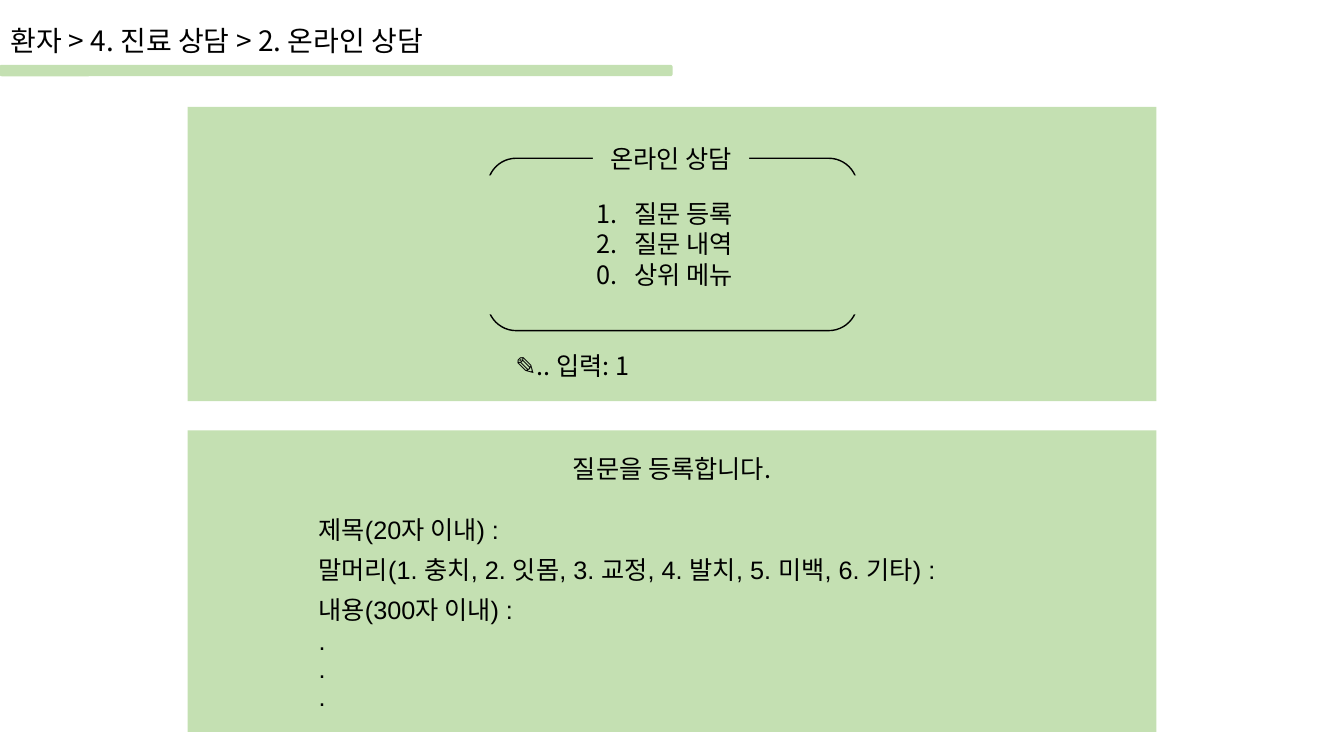
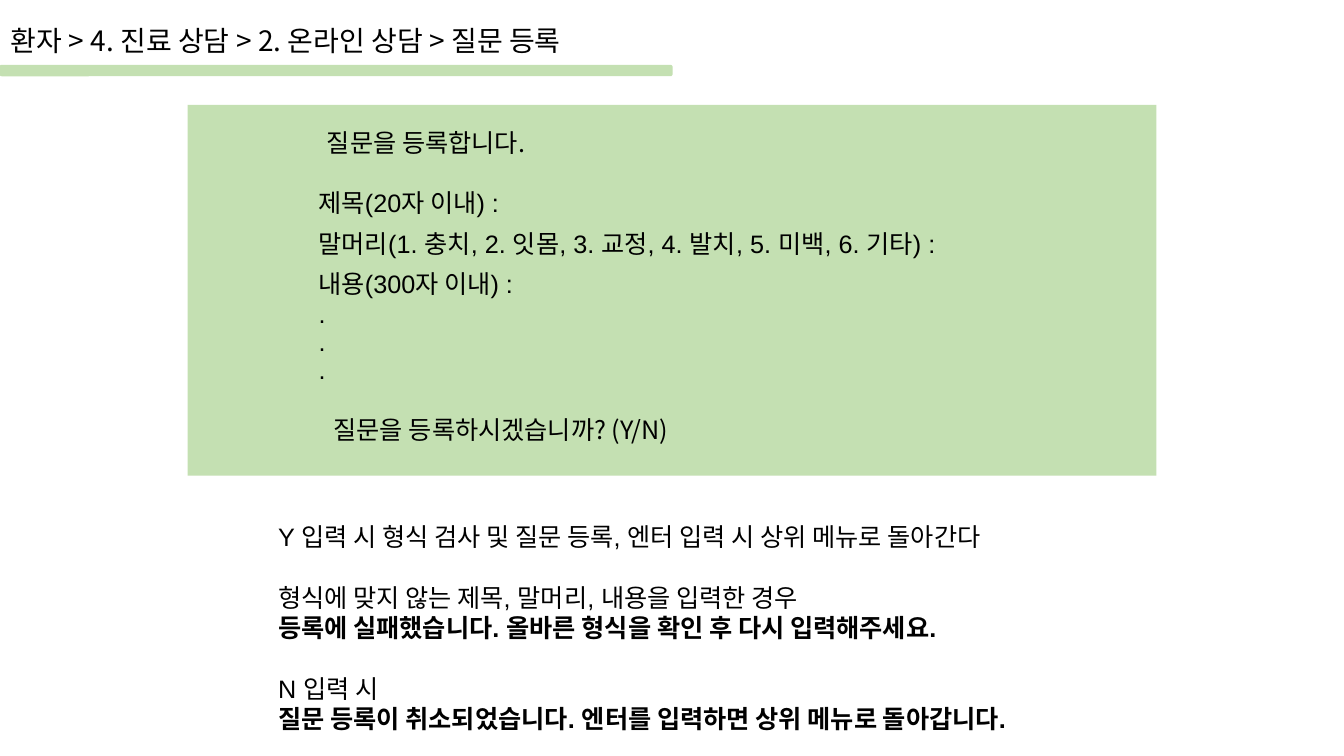
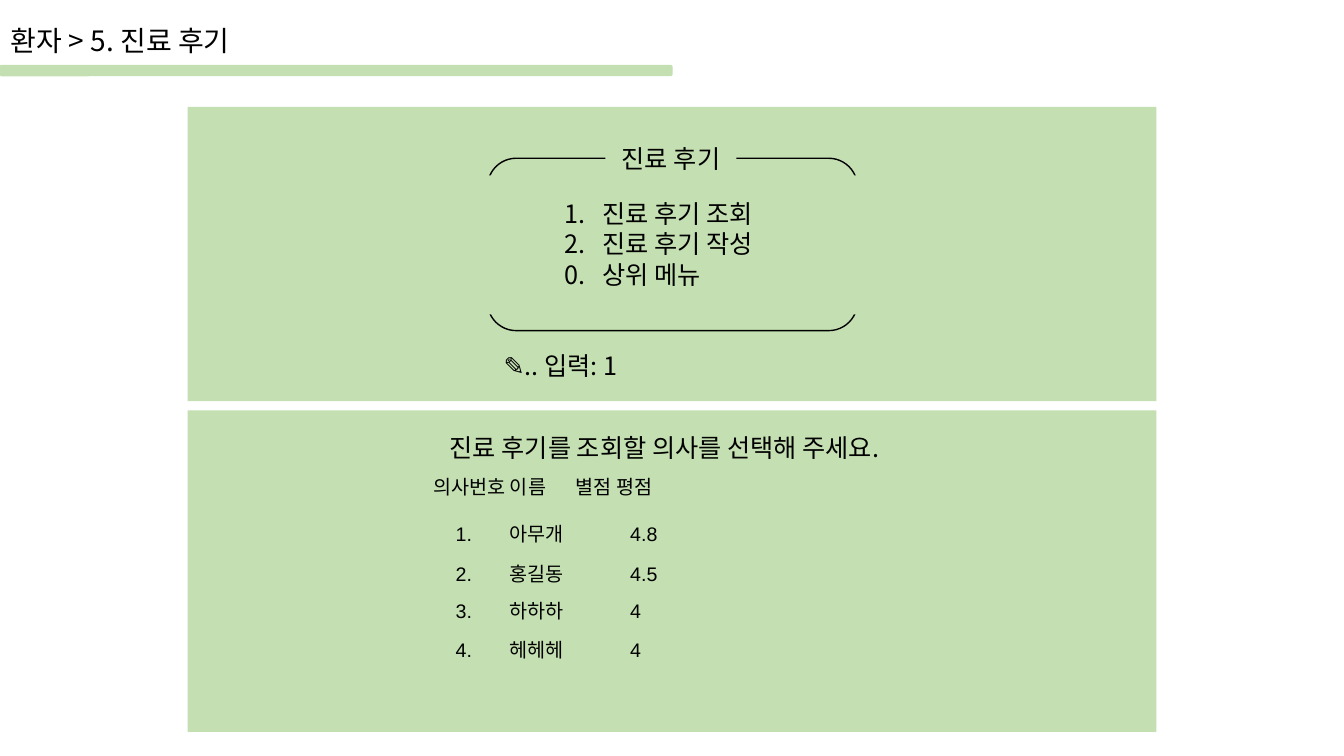
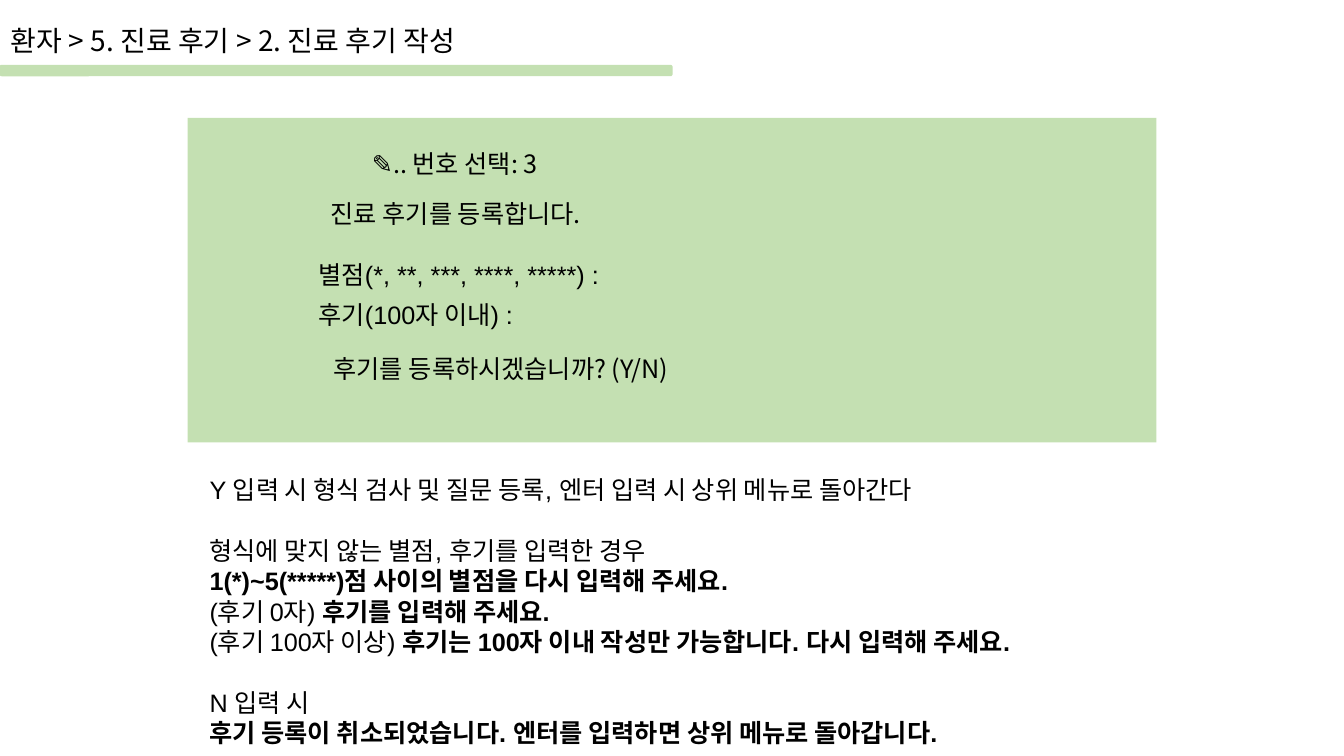
from lxml import etree
from pptx import Presentation
from pptx.dml.color import RGBColor
from pptx.enum.shapes import MSO_SHAPE
from pptx.enum.text import MSO_ANCHOR, PP_ALIGN
from pptx.oxml.ns import qn
from pptx.util import Inches, Pt

RECT, ROUNDED = MSO_SHAPE.RECTANGLE, MSO_SHAPE.ROUNDED_RECTANGLE
LEFT, CENTER = PP_ALIGN.LEFT, PP_ALIGN.CENTER
TOP, MIDDLE = MSO_ANCHOR.TOP, MSO_ANCHOR.MIDDLE

COLORS = {"panel": "C4E0B2", "ink": "000000"}
KOREAN, LATIN = "Noto Sans CJK KR", "Arial"
NO_TABLE_STYLE = "{2D5ABB26-0587-4C30-8999-92F81FD0307C}"

SLIDE_W, SLIDE_H = 13.33, 7.5
PANEL_X, PANEL_W = 1.86, 9.61
LABEL_H = 0.4
ROW_H = 0.4
HANG = 0.38

QUESTION_ROWS = [
    ["제목(20자 이내) :"],
    ["말머리(1. 충치, 2. 잇몸, 3. 교정, 4. 발치, 5. 미백, 6. 기타) :"],
    ["내용(300자 이내) :", ".", ".", "."],
]
QUESTION_HEIGHTS = [ROW_H, ROW_H, 1.31]
REVIEW_ROWS = [["별점(*, **, ***, ****, *****) :"], ["후기(100자 이내) :"]]
DOCTORS = [["1.\t아무개\t4.8"], ["2.\t홍길동\t4.5"],
           ["3.\t하하하\t4"], ["4.\t헤헤헤\t4"]]
DOCTOR_HEIGHTS = [0.39, 0.37, 0.39, 0.39]


def color(name):
    return RGBColor.from_string(COLORS[name])


def inches(box):
    return [Inches(length) for length in box]


def set_tabs(para, stops):
    tabs = etree.SubElement(para._p.get_or_add_pPr(), qn("a:tabLst"))
    for stop in stops:
        etree.SubElement(tabs, qn("a:tab"), pos=str(Inches(stop)), algn="l")


def write(frame, lines, font=KOREAN, size=18, align=LEFT, anchor=TOP,
          wrap=True, gaps=(), tabs=()):
    """Fill a text frame; a line is a string or a (plain, bold) pair.

    Lines whose index is in gaps get one line of space above them.
    """
    frame.word_wrap = wrap
    frame.vertical_anchor = anchor
    for index, line in enumerate(lines):
        para = frame.paragraphs[0] if index == 0 else frame.add_paragraph()
        para.alignment = align
        if index in gaps:
            para.space_before = Pt(21.8)
        if tabs:
            set_tabs(para, tabs)
        parts = (line, "") if isinstance(line, str) else line
        for bold, text in enumerate(parts):
            if not text:
                continue
            span = para.add_run()
            span.text = text
            span.font.name = font
            span.font.size = Pt(size)
            span.font.bold = bool(bold)
            span.font.color.rgb = color("ink")
    return frame


def add_text(page, box, lines, **text_format):
    return write(page.shapes.add_textbox(*inches(box)).text_frame, lines, **text_format)


def add_box(page, box, kind=RECT, line=None):
    shape = page.shapes.add_shape(kind, *inches(box))
    shape.shadow.inherit = False
    shape.fill.solid()
    shape.fill.fore_color.rgb = color("panel")
    if line:
        shape.line.color.rgb = color(line)
        shape.line.width = Pt(1)
    else:
        shape.line.fill.background()
    return shape


def add_label(page, box, text):
    write(add_box(page, box).text_frame, [text], align=CENTER, anchor=MIDDLE, wrap=False)


def add_list_table(page, left, top, width, heights, rows, **text_format):
    """Add a plain table of one column; each row holds a list of lines."""
    box = inches((left, top, width, sum(heights)))
    table = page.shapes.add_table(len(rows), 1, *box).table
    table.first_row = table.horz_banding = False
    table._tbl.tblPr[0].text = NO_TABLE_STYLE
    for row, height, lines in zip(table.rows, heights, rows):
        row.height = Inches(height)
        cell = row.cells[0]
        cell.fill.solid()
        cell.fill.fore_color.rgb = color("panel")
        write(cell.text_frame, lines, font=LATIN, **text_format)


def start_page(deck, title):
    page = deck.slides.add_slide(deck.slide_layouts[6])
    add_box(page, (0, 0.65, SLIDE_W / 2, 0.1), ROUNDED, line="panel")
    add_text(page, (0.01, 0.18, 8.69, 0.44), [title], size=20)
    return page


def number_options(frame):
    """Hang every line; number all but the last, which carries its own number."""
    for para in frame.paragraphs:
        settings = para._p.get_or_add_pPr()
        settings.set("marL", str(Inches(HANG)))
        settings.set("indent", str(-Inches(HANG)))
        if not para.text.startswith("0."):
            etree.SubElement(settings, qn("a:buFont")).set("typeface", KOREAN)
            etree.SubElement(settings, qn("a:buAutoNum")).set("type", "arabicPeriod")


def menu_panel(page, box, title, title_w, options, options_w, prompt_w):
    left, top, width, height = box
    middle = left + width / 2
    add_box(page, box)
    add_box(page, (middle - 1.83, top + 0.51, 3.67, 1.71), ROUNDED, line="ink")
    add_box(page, (middle - 2.67, top + 0.68, 5.33, 1.38))
    add_label(page, (middle - title_w / 2 - 0.01, top + 0.31, title_w, LABEL_H), title)
    number_options(add_text(
        page, (middle - options_w / 2, top + 0.86, options_w, 1.01),
        options + ["0.\t상위 메뉴"]))
    add_label(page, (middle - 1.83, top + 2.37, prompt_w, LABEL_H), "✎.. 입력: 1")


def form_panel(page, box, notice, notice_w, rows, heights, start=0.17,
               centered=False, confirm=None):
    left, top, width, height = box
    add_box(page, box)
    notice_x = left + ((width - notice_w) / 2 if centered else 1.18)
    table_y = top + start + 0.56
    add_list_table(page, left + 1.2, table_y, 7.21, heights, rows)
    add_label(page, (notice_x, top + start, notice_w, LABEL_H), notice)
    if confirm:
        confirm_y = table_y + sum(heights) + 0.18
        add_label(page, (left + 1.18, confirm_y, 3.86, LABEL_H), confirm)


def doctor_panel(page, box):
    left, top, width, height = box
    add_box(page, box)
    add_label(page, (left + 2.23, top + 0.17, 5, LABEL_H),
              "진료 후기를 조회할 의사를 선택해 주세요.")
    add_text(page, (left + 2.34, top + 0.59, 2.64, 0.34),
             ["의사번호 이름\t별점 평점"], size=14, tabs=[1.41])
    add_list_table(page, left + 2.56, top + 1.03, 3.76, DOCTOR_HEIGHTS, DOCTORS,
                   size=14, tabs=[0.53, 1.73])


def notes(page, box, blocks):
    """Write blocks of lines, set apart by one line of space."""
    lines, gaps = [], []
    for block in blocks:
        if lines:
            gaps.append(len(lines))
        lines += block
    add_text(page, box, lines, font=LATIN, gaps=gaps)


def consult_menu(deck):
    page = start_page(deck, "환자 > 4. 진료 상담 > 2. 온라인 상담")
    menu_panel(page, (PANEL_X, 1.06, PANEL_W, 2.92), "온라인 상담", 1.55,
               ["질문 등록", "질문 내역"], 1.7, 1.68)
    form_panel(page, (PANEL_X, 4.27, PANEL_W, 2.99), "질문을 등록합니다.", 2.37,
               QUESTION_ROWS, QUESTION_HEIGHTS, start=0.18, centered=True)


def question_entry(deck):
    page = start_page(deck, "환자 > 4. 진료 상담 > 2. 온라인 상담 > 질문 등록")
    form_panel(page, (PANEL_X, 1.04, PANEL_W, 3.68), "질문을 등록합니다.", 2.37,
               QUESTION_ROWS, QUESTION_HEIGHTS,
               confirm="질문을 등록하시겠습니까? (Y/N)")
    notes(page, (2.66, 5.12, 8.24, 2.22), [
        ["Y 입력 시 형식 검사 및 질문 등록, 엔터 입력 시 상위 메뉴로 돌아간다"],
        ["형식에 맞지 않는 제목, 말머리, 내용을 입력한 경우",
         ("", "등록에 실패했습니다. 올바른 형식을 확인 후 다시 입력해주세요.")],
        ["N 입력 시",
         ("", "질문 등록이 취소되었습니다. 엔터를 입력하면 상위 메뉴로 돌아갑니다.")],
    ])


def review_menu(deck):
    page = start_page(deck, "환자 > 5. 진료 후기")
    menu_panel(page, (PANEL_X, 1.06, PANEL_W, 2.92), "진료 후기", 1.3,
               ["진료 후기 조회", "진료 후기 작성"], 2.33, 1.45)
    doctor_panel(page, (PANEL_X, 4.07, PANEL_W, 3.19))


def review_entry(deck):
    page = start_page(deck, "환자 > 5. 진료 후기 > 2. 진료 후기 작성")
    form_panel(page, (PANEL_X, 1.17, PANEL_W, 3.22), "진료 후기를 등록합니다.", 2.96,
               REVIEW_ROWS, [ROW_H, ROW_H], start=0.75,
               confirm="후기를 등록하시겠습니까? (Y/N)")
    add_text(page, (3.59, 1.42, 2.18, LABEL_H), ["✎.. 번호 선택: 3"])
    notes(page, (1.98, 4.66, 9.37, 2.83), [
        ["Y 입력 시 형식 검사 및 질문 등록, 엔터 입력 시 상위 메뉴로 돌아간다"],
        ["형식에 맞지 않는 별점, 후기를 입력한 경우",
         ("", "1(*)~5(*****)점 사이의 별점을 다시 입력해 주세요."),
         ("(후기 0자) ", "후기를 입력해 주세요."),
         ("(후기 100자 이상) ",
          "후기는 100자 이내 작성만 가능합니다. 다시 입력해 주세요.")],
        ["N 입력 시",
         ("", "후기 등록이 취소되었습니다. 엔터를 입력하면 상위 메뉴로 돌아갑니다.")],
    ])


def main():
    deck = Presentation()
    deck.slide_width, deck.slide_height = inches((SLIDE_W, SLIDE_H))
    for build in (consult_menu, question_entry, review_menu, review_entry):
        build(deck)
    deck.save("out.pptx")


if __name__ == "__main__":
    main()
